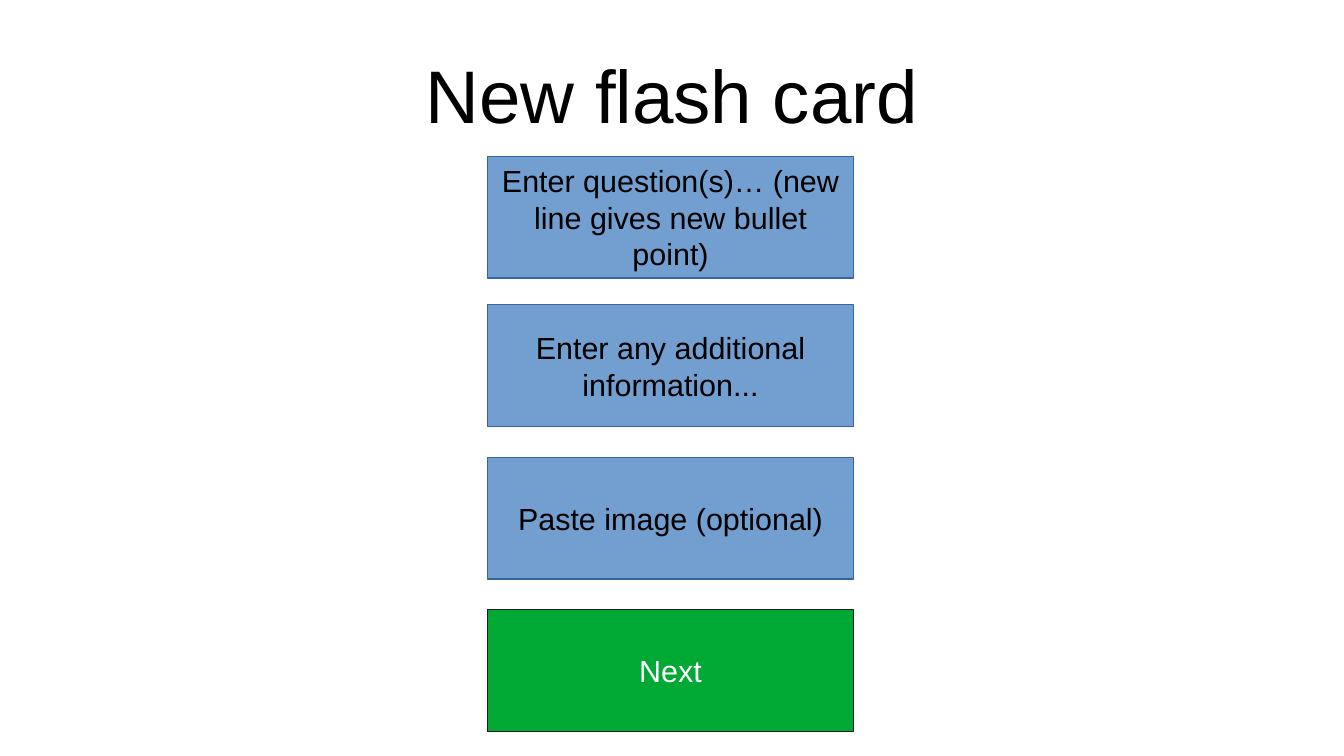
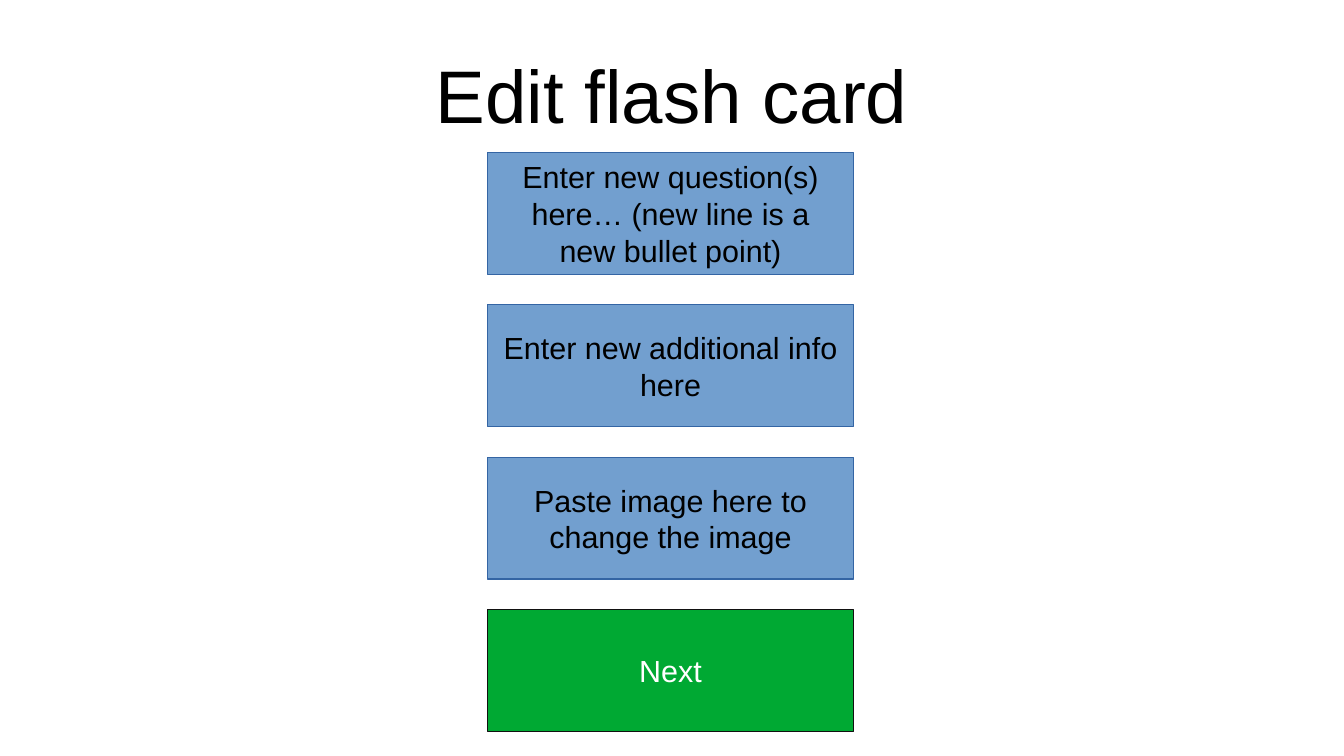
from pptx import Presentation
from pptx.dml.color import RGBColor
from pptx.enum.shapes import MSO_SHAPE as Shape
from pptx.enum.text import MSO_ANCHOR as Anchor, MSO_AUTO_SIZE as AutoSize, PP_ALIGN as Align
from pptx.util import Cm, Pt

TITLE_ONLY = 5


def color(code):
    return RGBColor.from_string(code)


class CardDeck:
    font = "Arial"
    black, white = "000000", "FFFFFF"
    field_fill, field_line = "729FCF", "3465A4"
    button_fill = "00A933"
    box_left, box_width, box_height = 10.16, 7.62, 2.54
    pitch = 1.25 * box_height

    def __init__(self):
        self.deck = Presentation()
        self.deck.slide_width = Cm(28)
        self.deck.slide_height = Cm(15.75)
        self.page = None

    def add_page(self, title):
        self.page = self.deck.slides.add_slide(self.deck.slide_layouts[TITLE_ONLY])
        box = self.page.shapes.title
        box.left, box.top, box.width, box.height = Cm(1.4), Cm(0.63), Cm(25.2), Cm(2.63)
        self.add_text(box, title, 44, self.black, 0, 0)

    def add_text(self, box, text, size, ink, side, edge):
        frame = box.text_frame
        frame.word_wrap = True
        frame.auto_size = AutoSize.NONE
        frame.vertical_anchor = Anchor.MIDDLE
        frame.margin_left = frame.margin_right = Cm(side)
        frame.margin_top = frame.margin_bottom = Cm(edge)
        para = frame.paragraphs[0]
        para.alignment = Align.CENTER
        span = para.add_run()
        span.text = text
        span.font.name = self.font
        span.font.size = Pt(size)
        span.font.color.rgb = color(ink)

    def add_box(self, row, text, fill, line, ink, shift=0):
        top = row * self.pitch + shift
        box = self.page.shapes.add_shape(
            Shape.RECTANGLE, Cm(self.box_left), Cm(top), Cm(self.box_width), Cm(self.box_height)
        )
        box.shadow.inherit = False
        box.fill.solid()
        box.fill.fore_color.rgb = color(fill)
        box.line.color.rgb = color(line)
        box.line.width = Pt(0)
        self.add_text(box, text, 18, ink, 0.25, 0.13)

    def add_field(self, row, text, shift=0):
        self.add_box(row, text, self.field_fill, self.field_line, self.black, shift)

    def add_button(self, row, text, line):
        self.add_box(row, text, self.button_fill, line, self.white)

    def add_form(self, title, fields, button_line, first_shift=0):
        self.add_page(title)
        for row, text in enumerate(fields, start=1):
            self.add_field(row, text, first_shift if row == 1 else 0)
        self.add_button(len(fields) + 1, "Next", button_line)


def main():
    cards = CardDeck()
    cards.add_form(
        "New flash card",
        [
            "Enter question(s)… (new line gives new bullet point)",
            "Enter any additional information...",
            "Paste image (optional)",
        ],
        button_line="1C1C1C",
        first_shift=0.08,
    )
    cards.add_form(
        "Edit flash card",
        [
            "Enter new question(s) here… (new line is a new bullet point)",
            "Enter new additional info here",
            "Paste image here to change the image",
        ],
        button_line="111111",
    )
    cards.deck.save("out.pptx")


if __name__ == "__main__":
    main()
